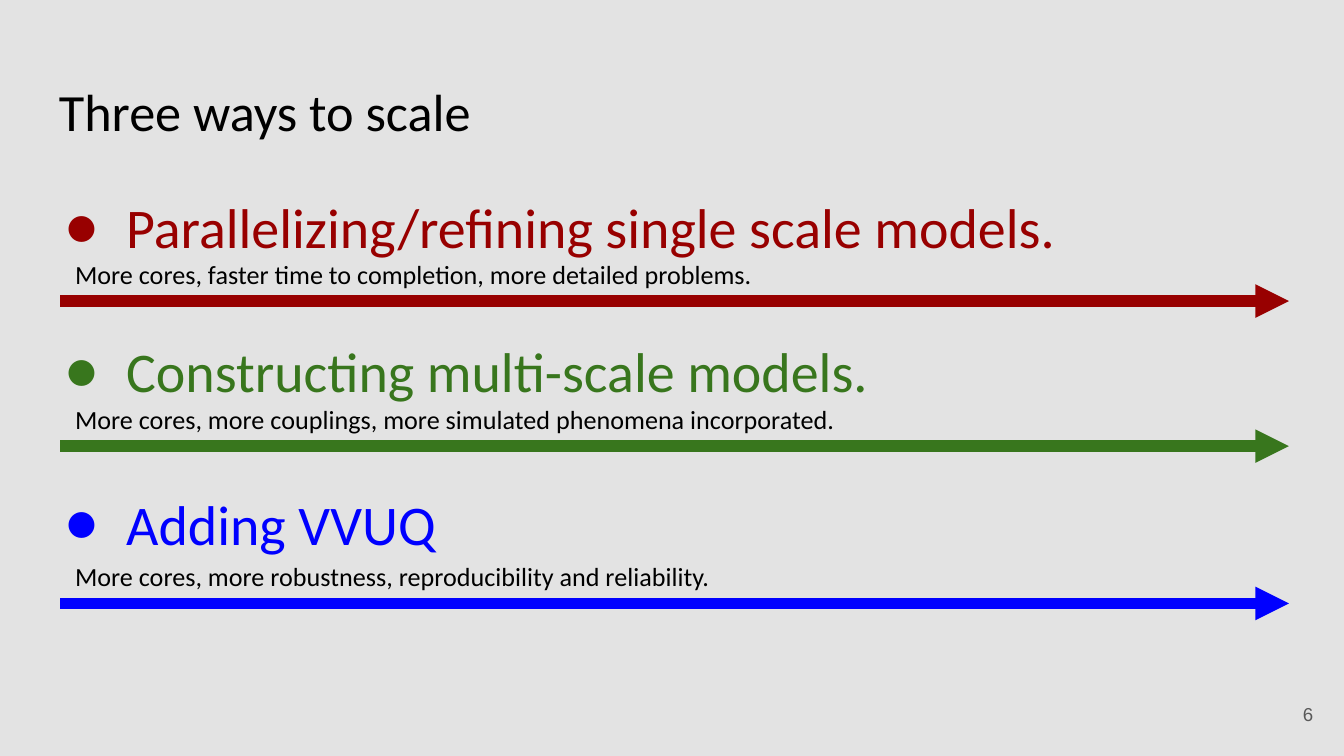
from dataclasses import dataclass

from lxml.etree import SubElement
from pptx import Presentation
from pptx.dml.color import RGBColor
from pptx.enum.shapes import MSO_CONNECTOR
from pptx.enum.text import MSO_ANCHOR, PP_ALIGN
from pptx.oxml.ns import qn
from pptx.slide import Slide
from pptx.text.text import TextFrame, _Paragraph
from pptx.util import Pt

PAPER = RGBColor(0xE3, 0xE3, 0xE3)
BLACK = RGBColor(0, 0, 0)
GRAY = RGBColor(0x59, 0x59, 0x59)
RED = RGBColor(0x98, 0, 0)
GREEN = RGBColor(0x38, 0x76, 0x1D)
BLUE = RGBColor(0, 0, 0xFF)

LEFT, RIGHT = 32.4, 690.5
RISE = 30.2


@dataclass
class Way:
    """One way to scale, with its arrow height and the gap above its head."""
    head: str
    note: str
    color: RGBColor
    y: float
    gap: float


WAYS = [
    Way("Parallelizing/refining single scale models.",
        "More cores, faster time to completion, more detailed problems.",
        RED, 161.3, 0),
    Way("Constructing multi-scale models.",
        "More cores, more couplings, more simulated phenomena incorporated.",
        GREEN, 239, 35.6),
    Way("Adding VVUQ",
        "More cores, more robustness, reproducibility and reliability.",
        BLUE, 323.3, 40.4),
]


def add_box(slide: Slide, x: float, y: float, w: float, h: float) -> TextFrame:
    """Add a wrapping text box with even insets."""
    frame = slide.shapes.add_textbox(Pt(x), Pt(y), Pt(w), Pt(h)).text_frame
    frame.word_wrap = True
    frame.margin_left = frame.margin_right = Pt(7.2)
    frame.margin_top = frame.margin_bottom = Pt(7.2)
    return frame


def put_text(para: _Paragraph, text: str, size: float, color: RGBColor,
             face: str = "Calibri") -> None:
    """Write text in one font."""
    para.text = text
    para.font.name = face
    para.font.size = Pt(size)
    para.font.color.rgb = color


def add_bullet(para: _Paragraph, color: RGBColor) -> None:
    """Give a paragraph a hanging round bullet."""
    props = para._p.get_or_add_pPr()
    props.set("marL", str(Pt(36)))
    props.set("indent", str(Pt(-33)))
    tint = SubElement(props, qn("a:buClr"))
    SubElement(tint, qn("a:srgbClr"), val=str(color))
    SubElement(props, qn("a:buFont"), typeface="Calibri")
    SubElement(props, qn("a:buChar"), char="●")


def add_heads(slide: Slide, ways: list[Way]) -> None:
    """List the heads in one box."""
    frame = add_box(slide, 24.5, 90.7, 671, 269.3)
    for i, way in enumerate(ways):
        para = frame.add_paragraph() if i else frame.paragraphs[0]
        para.line_spacing = 1.15
        para.space_before = Pt(way.gap)
        add_bullet(para, way.color)
        put_text(para, way.head, 30, way.color)


def add_arrow(slide: Slide, way: Way) -> None:
    """Draw the long arrow under a way."""
    arrow = slide.shapes.add_connector(
        MSO_CONNECTOR.STRAIGHT, Pt(LEFT), Pt(way.y), Pt(RIGHT), Pt(way.y))
    arrow.line.color.rgb = way.color
    arrow.line.width = Pt(6)
    SubElement(arrow.line._get_or_add_ln(), qn("a:tailEnd"), type="triangle")
    SubElement(arrow._element.spPr, qn("a:effectLst"))


def main() -> None:
    """Build the slide on three ways to scale."""
    deck = Presentation()
    deck.slide_width, deck.slide_height = Pt(720), Pt(405)
    slide = deck.slides.add_slide(deck.slide_layouts[6])
    fill = slide.background.fill
    fill.solid()
    fill.fore_color.rgb = PAPER

    title = add_box(slide, 24.5, 35.3, 671, 45.4)
    put_text(title.paragraphs[0], "Three ways to scale", 28, BLACK)
    add_heads(slide, WAYS)

    page = add_box(slide, 667.4, 367.2, 43.2, 31)
    page.vertical_anchor = MSO_ANCHOR.MIDDLE
    page.paragraphs[0].alignment = PP_ALIGN.RIGHT
    put_text(page.paragraphs[0], "6", 10, GRAY, "Arial")

    for way in WAYS:
        add_arrow(slide, way)
        note = add_box(slide, 33.1, way.y - RISE, 467.3, 24.5)
        put_text(note.paragraphs[0], way.note, 14, BLACK)

    deck.save("out.pptx")


if __name__ == "__main__":
    main()
